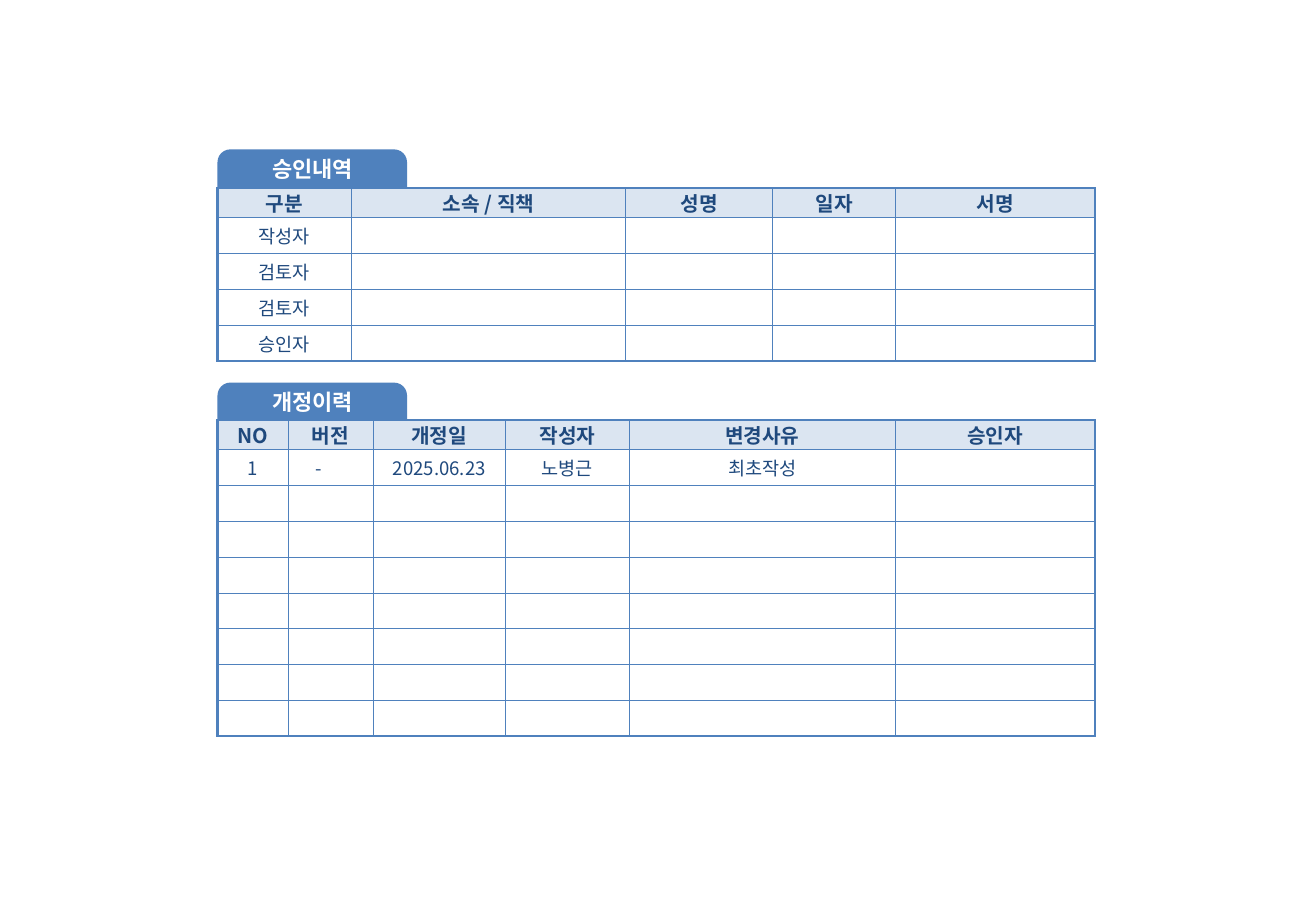
from lxml import etree
from pptx import Presentation
from pptx import util as u
from pptx.dml.color import RGBColor
from pptx.enum import shapes, text
from pptx.oxml.ns import qn

FONT = "Noto Sans CJK KR"
BLUE, NAVY, PALE, WHITE = "4F81BD", "1F497D", "DBE5F1", "FFFFFF"
LEFT, WIDTH = 1.79, 7.22
THIN, THICK = 0.5, 1.5


def color(code):
    return RGBColor.from_string(code)


class Page:
    def __init__(self, slide):
        self.slide = slide

    def label(self, para, words, size, ink, bold):
        para.alignment = text.PP_ALIGN.CENTER
        if words:
            para.text = words
        else:
            # An empty cell keeps its row low through its end mark
            end = etree.SubElement(para._p, qn("a:endParaRPr"))
            end.set("sz", str(size * 100))
        font = para.font
        font.name, font.size, font.bold = FONT, u.Pt(size), bold
        font.color.rgb = color(ink)
        base = para._p.pPr.find(qn("a:defRPr"))
        east = etree.Element(qn("a:ea"), typeface=FONT)
        base.find(qn("a:latin")).addnext(east)

    def border(self, cell, widths):
        props = cell._tc.get_or_add_tcPr()
        for place, (side, width) in enumerate(widths.items()):
            line = etree.Element(qn(f"a:ln{side}"), w=str(u.Pt(width)))
            fill = etree.SubElement(line, qn("a:solidFill"))
            etree.SubElement(fill, qn("a:srgbClr"), val=BLUE)
            props.insert(place, line)

    def grid(self, top, high, cols, count, rows, head=0.22):
        frame = self.slide.shapes.add_table(
            count, len(cols), u.Inches(LEFT), u.Inches(top),
            u.Inches(WIDTH), u.Inches(high))
        table = frame.table
        table.first_row = table.horz_banding = False
        for col, wide in zip(table.columns, cols):
            col.width = u.Inches(wide)
        for r, row in enumerate(table.rows):
            row.height = u.Inches((high - head) / (count - 1) if r else head)
            words = rows[r] if r < len(rows) else []
            for c, cell in enumerate(row.cells):
                cell.margin_left = cell.margin_right = 0
                cell.margin_top = cell.margin_bottom = 0
                cell.vertical_anchor = text.MSO_ANCHOR.MIDDLE
                if r:
                    cell.fill.background()
                else:
                    cell.fill.solid()
                    cell.fill.fore_color.rgb = color(PALE)
                edges = {"L": c == 0, "R": c == len(cols) - 1,
                         "T": r == 0, "B": r == count - 1}
                self.border(cell, {side: THICK if outer else THIN
                                   for side, outer in edges.items()})
                self.label(cell.text_frame.paragraphs[0],
                           words[c] if c < len(words) else "",
                           11 if r else 12, NAVY, r == 0)
        return table

    def tab(self, top, words):
        shape = self.slide.shapes.add_shape(
            shapes.MSO_SHAPE.ROUND_2_SAME_RECTANGLE, u.Inches(LEFT),
            u.Inches(top), u.Inches(1.56), u.Inches(0.31))
        shape.adjustments[0], shape.adjustments[1] = 0.34, 0
        shape.shadow.inherit = False
        shape.fill.solid()
        shape.fill.fore_color.rgb = color(BLUE)
        shape.line.fill.background()
        frame = shape.text_frame
        frame.word_wrap = True
        frame.vertical_anchor = text.MSO_ANCHOR.MIDDLE
        frame.margin_left = frame.margin_right = u.Inches(0.04)
        frame.margin_top, frame.margin_bottom = 0, u.Inches(0.02)
        self.label(frame.paragraphs[0], words, 13, WHITE, True)


def main():
    deck = Presentation()
    deck.slide_width, deck.slide_height = u.Inches(10.83), u.Inches(7.5)
    page = Page(deck.slides.add_slide(deck.slide_layouts[6]))

    # Approval table
    page.grid(1.55, 1.4, [1.1, 2.26, 1.21, 1.01, 1.64], 5, [
        ["구분", "소속 / 직책", "성명", "일자", "서명"],
        ["작성자"], ["검토자"], ["검토자"], ["승인자"]])

    # Revision table, with the version mark set left of centre
    log = page.grid(3.46, 2.58, [0.58, 0.7, 1.09, 1.02, 2.19, 1.64], 9, [
        ["NO", "버전", "개정일", "작성자", "변경사유", "승인자"],
        ["1", "-", "2025.06.23", "노병근", "최초작성"]])
    log.cell(1, 1).margin_right = u.Inches(0.2)

    # Title tabs
    page.tab(1.23, "승인내역")
    page.tab(3.15, "개정이력")

    deck.save("out.pptx")


if __name__ == "__main__":
    main()
